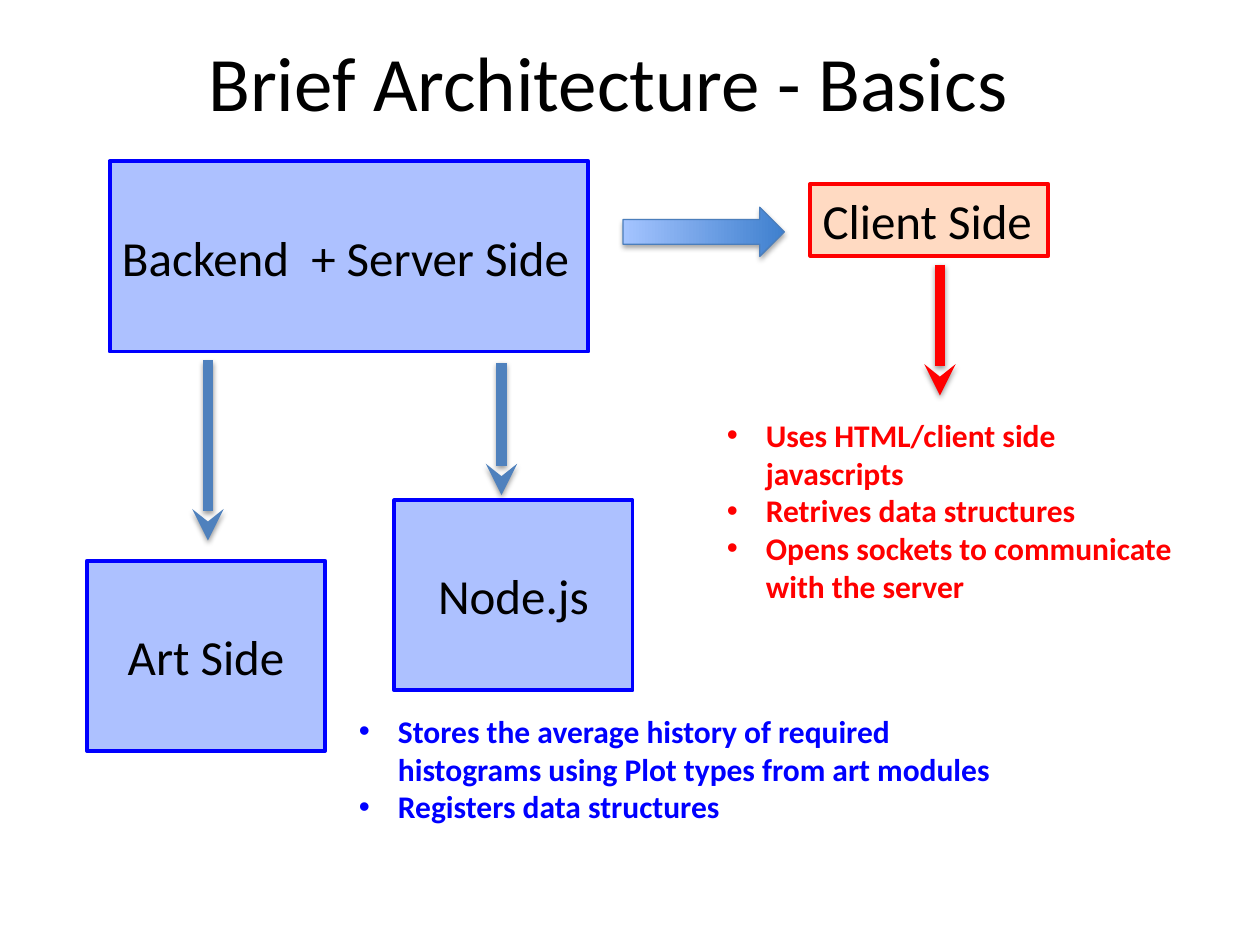
from typing import NamedTuple

from lxml import etree
from pptx import Presentation
from pptx.dml.color import RGBColor
from pptx.enum.shapes import MSO_CONNECTOR, MSO_SHAPE
from pptx.enum.text import MSO_ANCHOR, PP_ALIGN
from pptx.oxml.ns import qn
from pptx.util import Inches, Pt

RECT, DOWN_ARROW = MSO_SHAPE.RECTANGLE, MSO_SHAPE.DOWN_ARROW
STRAIGHT = MSO_CONNECTOR.STRAIGHT
TOP, MIDDLE = MSO_ANCHOR.TOP, MSO_ANCHOR.MIDDLE
LEFT, CENTER = PP_ALIGN.LEFT, PP_ALIGN.CENTER
FONT = "Calibri"
COLORS = {
    "black": "000000", "blue": "0000FF", "red": "FF0000",
    "blue_fill": "3366FF", "orange_fill": "FF6600", "steel": "4F81BD",
    "arrow_line": "4B7EBC", "arrow_dark": "3F80CE", "arrow_light": "A4C4FF",
}


class Box(NamedTuple):
    text: str
    x: float
    y: float
    w: float
    h: float
    fill: str = "blue_fill"
    line: str = "blue"
    alpha: int = 40
    align: PP_ALIGN = CENTER
    wrap: bool = True


class Arrow(NamedTuple):
    x: float
    top: float
    bottom: float
    color: str = "steel"


class Notes(NamedTuple):
    items: tuple[str, ...]
    x: float
    y: float
    w: float
    h: float
    color: str


BOXES = [
    Box("Backend  + Server Side", 0.87, 1.28, 3.8, 1.51, align=LEFT, wrap=False),
    Box("Client Side", 6.43, 1.46, 1.89, 0.57, "orange_fill", "red", 24, LEFT, False),
    Box("Art Side", 0.69, 4.45, 1.89, 1.51),
    Box("Node.js", 3.13, 3.97, 1.89, 1.51),
]
ARROWS = [
    Arrow(1.65, 2.86, 4.29),
    Arrow(3.98, 2.88, 3.93),
    Arrow(7.46, 2.1, 3.14, "red"),
]
NOTES = [
    Notes(("Stores the average history of required histograms using Plot types from art modules",
           "Registers data structures"), 2.75, 5.6, 5.42, 1.31, "blue"),
    Notes(("Uses HTML/client side javascripts", "Retrives data structures",
           "Opens sockets to communicate with the server"), 5.67, 3.25, 3.83, 1.62, "red"),
]


def rgb(name: str) -> RGBColor:
    return RGBColor.from_string(COLORS[name])


def add_run(p, text: str, size: int, color: str = "black", bold: bool = False) -> None:
    r = p.add_run()
    r.text = text
    r.font.name, r.font.size, r.font.bold = FONT, Pt(size), bold
    r.font.color.rgb = rgb(color)


def add_shadow(sp, alpha: int, dist: float) -> None:
    effects = etree.SubElement(sp.element.spPr, qn("a:effectLst"))
    shadow = etree.SubElement(effects, qn("a:outerShdw"), blurRad=str(Pt(3.1)),
                              dist=str(Pt(dist)), dir="5400000", rotWithShape="0")
    color = etree.SubElement(shadow, qn("a:srgbClr"), val=COLORS["black"])
    etree.SubElement(color, qn("a:alpha"), val=str(alpha * 1000))


def add_title(s, text: str) -> None:
    tf = s.shapes.add_textbox(Inches(0.58), 0, Inches(8.5), Inches(1.28)).text_frame
    tf.word_wrap, tf.vertical_anchor = True, MIDDLE
    p = tf.paragraphs[0]
    p.alignment = CENTER
    add_run(p, text, 44)


def add_box(s, box: Box) -> None:
    sp = s.shapes.add_shape(RECT, Inches(box.x), Inches(box.y), Inches(box.w), Inches(box.h))
    sp.shadow.inherit = False
    sp.fill.solid()
    sp.fill.fore_color.rgb = rgb(box.fill)
    color = sp.element.spPr.find(qn("a:solidFill")).find(qn("a:srgbClr"))
    etree.SubElement(color, qn("a:alpha"), val=str(box.alpha * 1000))
    sp.line.color.rgb, sp.line.width = rgb(box.line), Pt(2.25)
    tf = sp.text_frame
    tf.word_wrap, tf.vertical_anchor = box.wrap, MIDDLE
    p = tf.paragraphs[0]
    p.alignment = box.align
    add_run(p, box.text, 28)


def add_block_arrow(s) -> None:
    sp = s.shapes.add_shape(DOWN_ARROW, Inches(5.39), Inches(1.2), Inches(0.39), Inches(1.28))
    sp.rotation = 270
    sp.fill.gradient()
    sp.fill.gradient_angle = 90
    for stop, color in zip(sp.fill.gradient_stops, ("arrow_dark", "arrow_light")):
        stop.color.rgb = rgb(color)
    sp.line.color.rgb, sp.line.width = rgb("arrow_line"), Pt(0.75)
    add_shadow(sp, 35, 1.8)


def add_arrow(s, arrow: Arrow) -> None:
    x = Inches(arrow.x)
    sp = s.shapes.add_connector(STRAIGHT, x, Inches(arrow.top), x, Inches(arrow.bottom))
    sp.line.color.rgb, sp.line.width = rgb(arrow.color), Pt(6)
    etree.SubElement(sp.element.spPr.find(qn("a:ln")), qn("a:tailEnd"), type="stealth")
    add_shadow(sp, 38, 1.6)


def add_notes(s, notes: Notes) -> None:
    tf = s.shapes.add_textbox(Inches(notes.x), Inches(notes.y),
                              Inches(notes.w), Inches(notes.h)).text_frame
    tf.word_wrap, tf.vertical_anchor = True, TOP
    for i, item in enumerate(notes.items):
        p = tf.add_paragraph() if i else tf.paragraphs[0]
        add_run(p, item, 18, notes.color, True)
        indent = Inches(0.31)
        props = p._p.get_or_add_pPr()
        props.set("marL", str(indent))
        props.set("indent", str(-indent))
        etree.SubElement(props, qn("a:buFont"), typeface="Arial")
        etree.SubElement(props, qn("a:buChar"), char="•")


def main() -> None:
    """Build the architecture overview slide."""
    prs = Presentation()
    prs.slide_width, prs.slide_height = Inches(10), Inches(7.5)
    s = prs.slides.add_slide(prs.slide_layouts[6])
    add_title(s, "Brief Architecture - Basics")
    for box in BOXES:
        add_box(s, box)
    add_block_arrow(s)
    for arrow in ARROWS:
        add_arrow(s, arrow)
    for notes in NOTES:
        add_notes(s, notes)
    prs.save("out.pptx")


if __name__ == "__main__":
    main()
